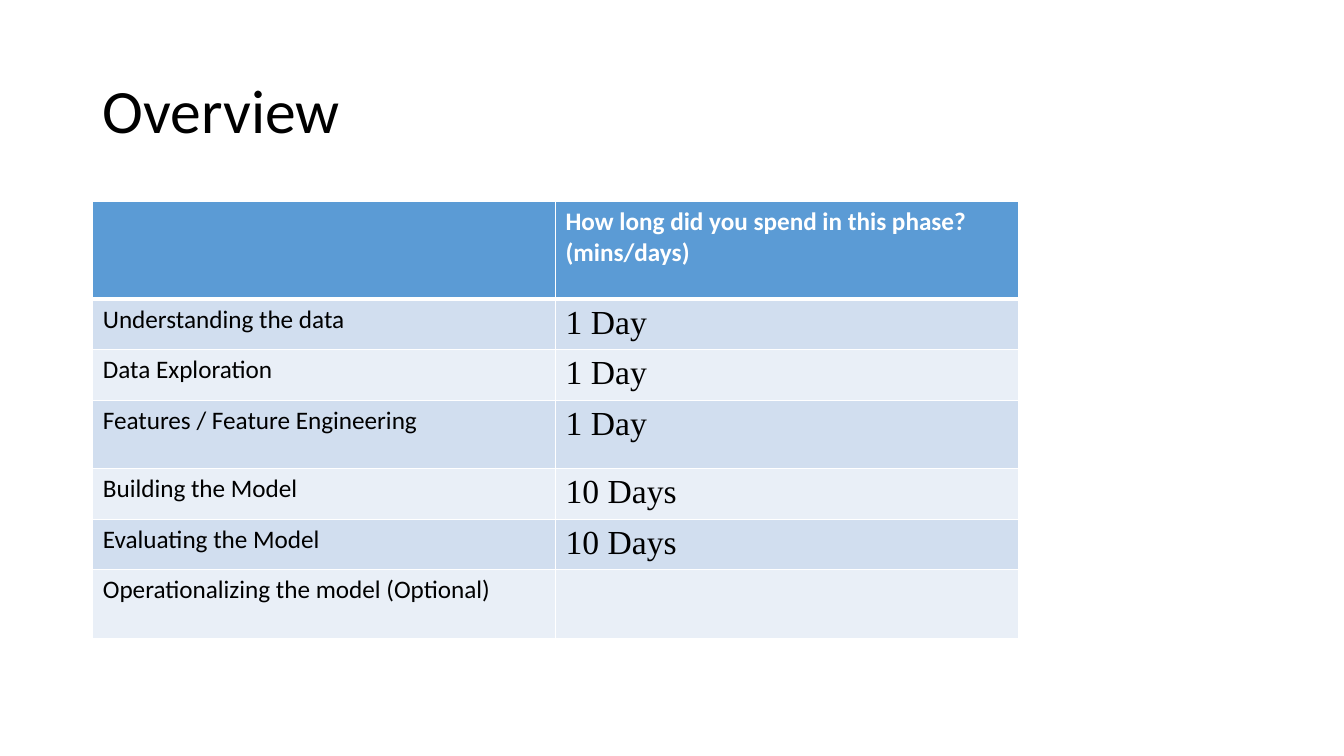
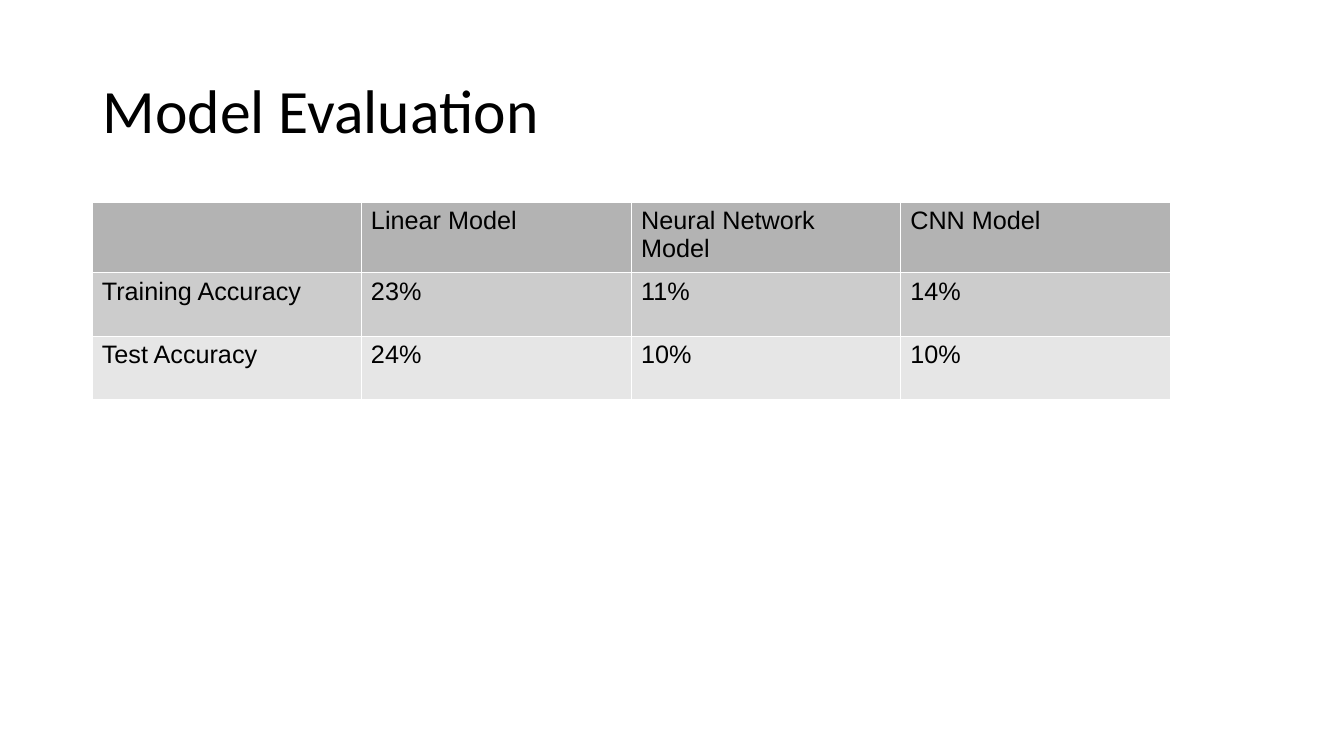
from lxml import etree
from pptx import Presentation
from pptx.dml.color import RGBColor
from pptx.enum.text import MSO_ANCHOR
from pptx.oxml.ns import qn
from pptx.util import Emu, Pt

MIDDLE = MSO_ANCHOR.MIDDLE
EMU_PER_PX = 9144  # 100 px to the inch
WHITE, BLACK = "FFFFFF", "000000"
TITLE = {"name": "Calibri", "size": Pt(44)}
BODY = {"name": "Calibri", "size": Pt(18), "bold": False}
HEADER = {**BODY, "bold": True}
ANSWER = {**BODY, "name": "Times New Roman", "size": Pt(24)}
SCORE = {**BODY, "name": "Arial"}


def px(length):
    return Emu(length * EMU_PER_PX)


def rgb(hex_color):
    return RGBColor.from_string(hex_color)


class Deck:
    def __init__(self, width, height):
        self.presentation = Presentation()
        self.presentation.slide_width = px(width)
        self.presentation.slide_height = px(height)
        self.slide = None

    def add_slide(self, title):
        blank = self.presentation.slide_layouts[6]
        self.slide = self.presentation.slides.add_slide(blank)
        self.title(title)

    def styled_text(self, frame, text, style, color):
        paragraph = frame.paragraphs[0]
        run = paragraph.add_run()
        run.text = text
        for attribute, value in style.items():
            setattr(run.font, attribute, value)
        run.font.color.rgb = rgb(color)
        return paragraph

    def title(self, text):
        box = self.slide.shapes.add_textbox(px(92), px(40), px(1150), px(145))
        frame = box.text_frame
        frame.word_wrap = True
        frame.vertical_anchor = MIDDLE
        self.styled_text(frame, text, TITLE, BLACK).line_spacing = 0.9

    def borders(self, cell, widths):
        """Draw white left, right, top and bottom edges, widths in points."""
        properties = cell._tc.get_or_add_tcPr()
        for side, width in zip("LRTB", widths):
            line = etree.SubElement(properties, qn(f"a:ln{side}"), w=str(int(Pt(width))))
            fill = etree.SubElement(line, qn("a:solidFill"))
            etree.SubElement(fill, qn("a:srgbClr"), val=WHITE)

    def table(self, left, top, column_widths, row_heights, rows, fills, styles,
              header_style, header_color, border, header_rule):
        """fills has one colour per row, styles one text style per column."""
        table = self.slide.shapes.add_table(
            len(rows), len(column_widths), px(left), px(top),
            px(sum(column_widths)), px(sum(row_heights))).table
        for column, width in zip(table.columns, column_widths):
            column.width = px(width)
        for row, height in zip(table.rows, row_heights):
            row.height = px(height)
        for r, texts in enumerate(rows):
            above = header_rule if r == 1 else border
            below = header_rule if r == 0 else border
            for c, text in enumerate(texts):
                cell = table.cell(r, c)
                self.borders(cell, (border, border, above, below))
                cell.fill.solid()
                cell.fill.fore_color.rgb = rgb(fills[r])
                if text:
                    style = styles[c] if r else header_style
                    self.styled_text(cell.text_frame, text, style,
                                     BLACK if r else header_color)

    def save(self):
        self.presentation.save("out.pptx")


def overview(deck):
    deck.add_slide("Overview")
    phases = [
        ("", "How long did you spend in this phase? (mins/days)"),
        ("Understanding the data", "1 Day"),
        ("Data Exploration", "1 Day"),
        ("Features / Feature Engineering", "1 Day"),
        ("Building the Model", "10 Days"),
        ("Evaluating the Model", "10 Days"),
        ("Operationalizing the model (Optional)", ""),
    ]
    deck.table(92, 200, [459] * 2, [97] + [47, 47, 68] * 2, phases,
               fills=["5B9BD5"] + ["D1DEEF", "E9EFF7"] * 3,
               styles=[BODY, ANSWER], header_style=HEADER, header_color=WHITE,
               border=0.96, header_rule=3)


def model_evaluation(deck):
    deck.add_slide("Model Evaluation")
    accuracies = [
        ("", "Linear Model", "Neural Network Model", "CNN Model"),
        ("Training Accuracy", "23%", "11%", "14%"),
        ("Test Accuracy", "24%", "10%", "10%"),
    ]
    deck.table(91, 200, [267, 268, 267, 268], [63] * 3, accuracies,
               fills=["B3B3B3", "CCCCCC", "E6E6E6"],
               styles=[SCORE] * 4, header_style=SCORE, header_color=BLACK,
               border=0.06, header_rule=0.06)


def main():
    deck = Deck(1333, 750)
    overview(deck)
    model_evaluation(deck)
    deck.save()


if __name__ == "__main__":
    main()
